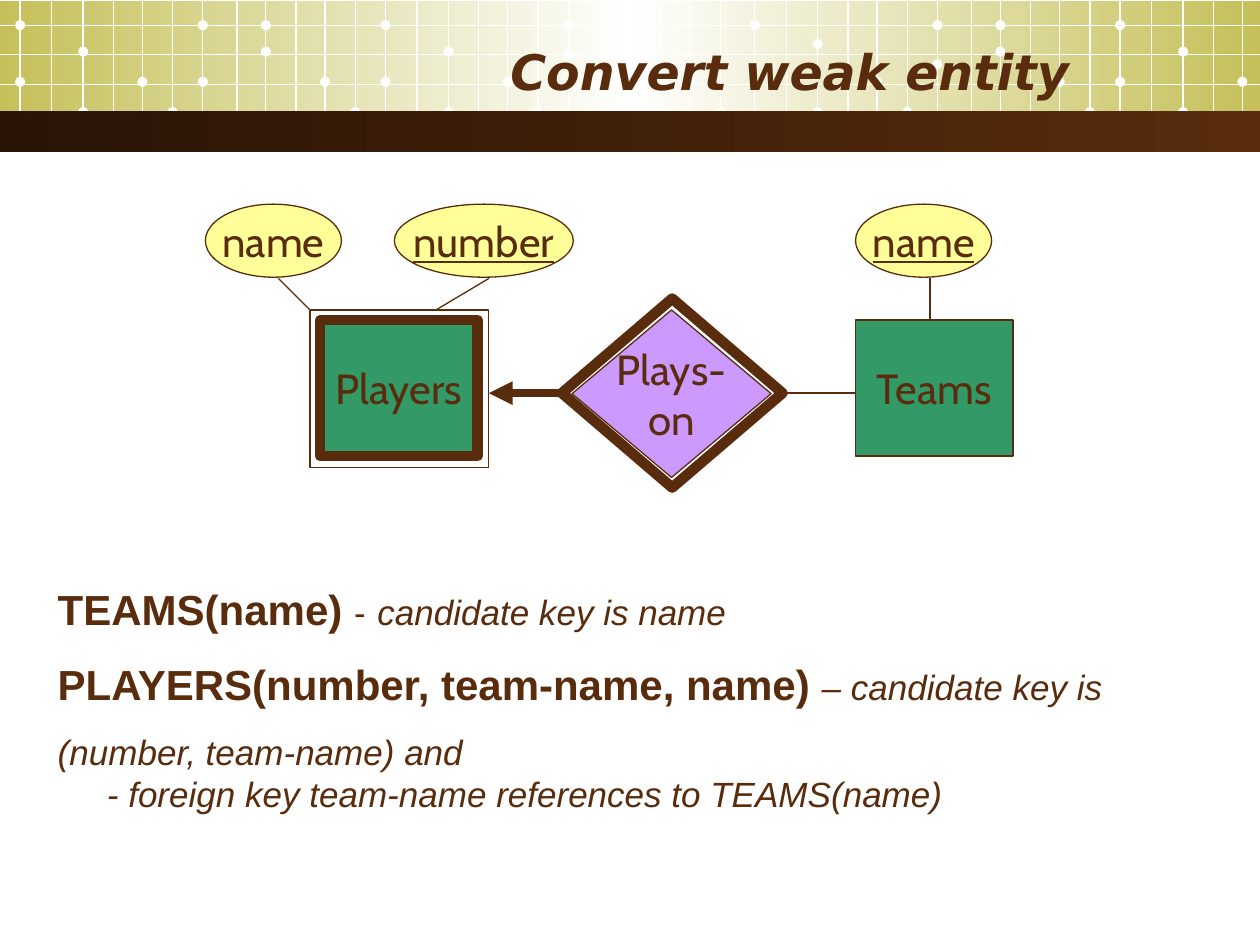
from copy import deepcopy

from pptx import Presentation
from pptx.dml.color import RGBColor
from pptx.enum.shapes import MSO_CONNECTOR, MSO_SHAPE
from pptx.enum.text import MSO_ANCHOR, PP_ALIGN
from pptx.oxml.ns import qn
from pptx.util import Inches, Pt

BROWN, OLIVE, WHITE = "592C0D", "C5C059", "FFFFFF"
GREEN, YELLOW, PURPLE = "339966", "FFFF99", "CC99FF"


def rgb(value):
    return RGBColor.from_string(value)


class Style:
    font = "Cabin"
    size = 24
    color = BROWN

    def __init__(self, slide):
        self.slide = slide

    def shape(self, kind, x, y, w, h, fill=None, line=None, width=0.75):
        sp = self.slide.shapes.add_shape(kind, *map(Inches, (x, y, w, h)))
        sp.shadow.inherit = False
        if fill:
            sp.fill.solid()
            sp.fill.fore_color.rgb = rgb(fill)
        else:
            sp.fill.background()
        if line:
            sp.line.color.rgb = rgb(line)
            sp.line.width = Pt(width)
        else:
            sp.line.fill.background()
        return sp

    def band(self, x, y, w, h, colors):
        sp = self.shape(MSO_SHAPE.RECTANGLE, x, y, w, h)
        sp.fill.gradient()
        sp.fill.gradient_angle = 0
        stops = sp._element.spPr.find(".//" + qn("a:gsLst"))
        for _ in colors[2:]:
            stops.append(deepcopy(stops[0]))
        for i, (stop, color) in enumerate(zip(sp.fill.gradient_stops, colors)):
            stop.color.rgb = rgb(color)
            stop.position = i / (len(colors) - 1)

    def line(self, x1, y1, x2, y2, color=BROWN, width=0.75, arrow=False):
        c = self.slide.shapes.add_connector(
            MSO_CONNECTOR.STRAIGHT, *map(Inches, (x1, y1, x2, y2)))
        c.line.color.rgb = rgb(color)
        c.line.width = Pt(width)
        spPr = c._element.spPr
        spPr.append(spPr.makeelement(qn("a:effectLst"), {}))
        if arrow:
            ln = spPr.find(qn("a:ln"))
            ln.append(ln.makeelement(qn("a:headEnd"), {"type": "triangle"}))
        return c

    def run(self, p, text, **fmt):
        r = p.add_run()
        r.text = text
        r.font.color.rgb = rgb(self.color)
        values = {"name": self.font, "size": self.size, **fmt}
        values["size"] = Pt(values["size"])
        for name, value in values.items():
            setattr(r.font, name, value)

    def label(self, sp, *lines, **fmt):
        tf = sp.text_frame
        tf.word_wrap = False
        tf.vertical_anchor = MSO_ANCHOR.MIDDLE
        for i, text in enumerate(lines):
            p = tf.add_paragraph() if i else tf.paragraphs[0]
            p.alignment = PP_ALIGN.CENTER
            self.run(p, text, **fmt)

    def text(self, x, y, w, h, paragraphs, anchor=MSO_ANCHOR.TOP):
        """Each paragraph is (format dict, indent in inches, runs)."""
        tf = self.slide.shapes.add_textbox(*map(Inches, (x, y, w, h))).text_frame
        tf.word_wrap = True
        tf.vertical_anchor = anchor
        for i, (p_fmt, indent, runs) in enumerate(paragraphs):
            p = tf.add_paragraph() if i else tf.paragraphs[0]
            for name, value in p_fmt.items():
                setattr(p, name, value)
            if indent:
                p._p.get_or_add_pPr().set("marL", str(Inches(indent)))
            for text, fmt in runs:
                self.run(p, text, **fmt)


def header(s):
    s.band(0, 0.01, 10, 1.02, [OLIVE, WHITE, OLIVE])

    # Grid: one tile of twelve columns, repeated across the slide
    columns = [0, 0.25, 0.5, 0.74, 0.97, 1.21, 1.45, 1.72, 1.95, 2.19, 2.42, 2.66]
    dots = {0: (0.2, 0.65), 2: (0.41, 0.89), 4: (0.65,), 5: (0.89,),
            6: (0.2, 0.43), 8: (0.2, 0.41), 10: (0.65,), 11: (0.89,)}
    moved = {(0, 6): (0.2, 0.65), (2, 2): (0.35, 0.89), (2, 6): (0.2, 0.51)}
    d = 0.08
    for tile, start in enumerate([0.16, 3.06, 5.99, 8.89]):
        for col, offset in enumerate(columns):
            x = start + offset
            if x > 10:
                break
            s.line(x, 0, x, 1.1, WHITE)
            for y in moved.get((tile, col), dots.get(col, ())):
                s.shape(MSO_SHAPE.OVAL, x - d / 2, y - d / 2, d, d, WHITE)
    for y in (0.2, 0.43, 0.67, 0.89):
        s.line(0, y, 10, y, WHITE)

    s.band(0, 0.88, 10, 0.33, ["291406", BROWN])
    title = {"name": "DejaVu Sans", "size": 28, "bold": True, "italic": True}
    s.text(0.5, 0.25, 8.08, 0.62,
           [({"alignment": PP_ALIGN.RIGHT}, 0, [("Convert weak entity", title)])],
           MSO_ANCHOR.MIDDLE)


def relations(s):
    head = {"name": "Arial", "bold": True}
    plain = {"name": "Arial", "size": 20}
    note = {**plain, "italic": True}
    spaced = {"line_spacing": 1.5}
    s.text(0.36, 4.38, 9.21, 2.14, [
        (spaced, 0, [("TEAMS(name) ", head), ("-", plain), (" ", head),
                     ("candidate key is name", note)]),
        (spaced, 0, [("PLAYERS(number, team-name, name) ", head),
                     ("– candidate key is (number, team-name) and", note)]),
        ({}, 0.39, [("- foreign key team-name references to TEAMS(name)", note)]),
    ])


def diagram(s):
    # Entities
    for x, text, width in ((2.54, "Players", 6), (6.79, "Teams", 0.75)):
        sp = s.shape(MSO_SHAPE.RECTANGLE, x, 2.54, 1.25, 1.08, GREEN, BROWN, width)
        s.label(sp, text)
    s.shape(MSO_SHAPE.RECTANGLE, 2.46, 2.46, 1.42, 1.25, line=BROWN)

    # Relationship
    sp = s.shape(MSO_SHAPE.DIAMOND, 4.54, 2.46, 1.58, 1.33, PURPLE, BROWN)
    s.label(sp, "Plays-", "on")
    outer = s.shape(MSO_SHAPE.DIAMOND, 4.46, 2.37, 1.75, 1.5, line=BROWN, width=6)

    # Attributes, keys underlined
    for x, w, text, key in ((1.63, 1.08, "name", False),
                            (6.79, 1.08, "name", True),
                            (3.13, 1.42, "number", True)):
        sp = s.shape(MSO_SHAPE.OVAL, x, 1.62, w, 0.58, YELLOW, BROWN)
        s.label(sp, text, underline=key)

    # Links
    s.line(3.88, 3.12, 4.46, 3.12, width=4.5, arrow=True).end_connect(outer, 1)
    s.line(6.21, 3.12, 6.79, 3.12).begin_connect(outer, 3)
    for x1, x2, y2 in ((2.21, 2.46, 2.46), (3.88, 3.46, 2.46), (7.38, 7.38, 2.54)):
        s.line(x1, 2.21, x2, y2)


def main():
    prs = Presentation()
    prs.slide_width, prs.slide_height = Inches(10), Inches(7.5)
    s = Style(prs.slides.add_slide(prs.slide_layouts[6]))
    header(s)
    relations(s)
    diagram(s)
    prs.save("out.pptx")


if __name__ == "__main__":
    main()
